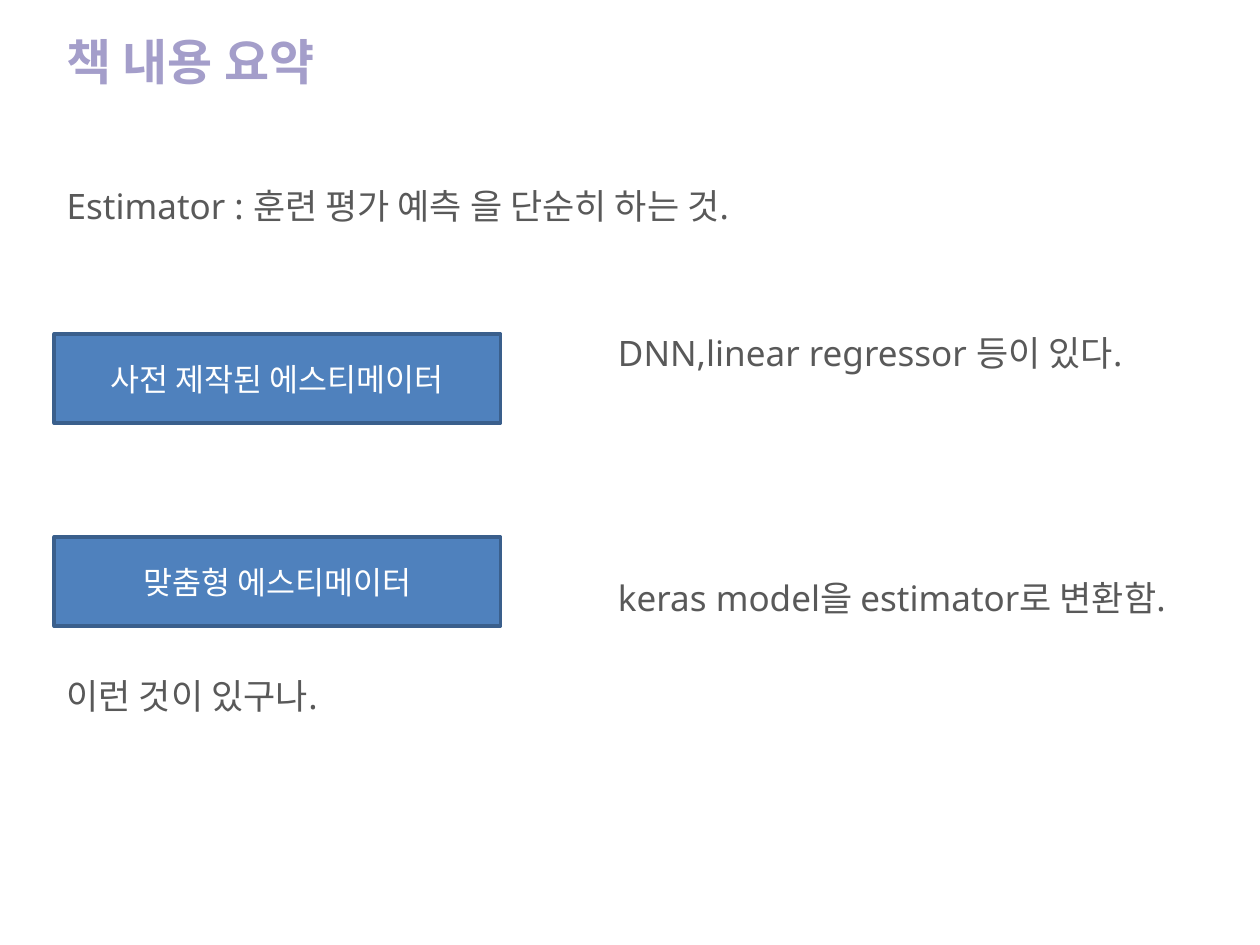
from pptx import Presentation
from pptx.dml.color import RGBColor
from pptx.enum.shapes import MSO_SHAPE
from pptx.enum.text import MSO_ANCHOR, PP_ALIGN
from pptx.util import Pt

LILAC = RGBColor(0xA4, 0x9E, 0xCA)
GREY = RGBColor(0x59, 0x59, 0x59)
BLUE = RGBColor(0x4F, 0x81, 0xBD)
NAVY = RGBColor(0x3A, 0x5F, 0x8C)
WHITE = RGBColor(0xFF, 0xFF, 0xFF)

TITLE = "책 내용 요약"
NOTES = [
    ("Estimator : 훈련 평가 예측 을 단순히 하는 것.", 0, 0),
    ("DNN,linear regressor 등이 있다.", 2, 315),
    ("keras model을 estimator로 변환함.", 4, 315),
    ("이런 것이 있구나.", 1, 0),
]
KINDS = ["사전 제작된 에스티메이터", "맞춤형 에스티메이터"]

HEAD = {"name": "Noto Sans", "size": Pt(28), "bold": True}
BODY = {"name": "Noto Sans", "size": Pt(20)}
LABEL = {"name": "Noto Sans CJK KR", "size": Pt(18)}
LEFT, PITCH = 31, 28
TOP, STEP = 190.8, 116


def style(para, form, color, align=PP_ALIGN.LEFT):
    para.alignment = align
    for key, val in form.items():
        setattr(para.font, key, val)
    para.font.color.rgb = color


def place(shape, *box):
    for key, val in zip(("left", "top", "width", "height"), box):
        setattr(shape, key, Pt(val))


deck = Presentation()
deck.slide_width, deck.slide_height = Pt(720), Pt(540)
slide = deck.slides.add_slide(deck.slide_layouts[5])

title = slide.shapes.title
place(title, LEFT, 3.6, 603.4, 62.6)
title.text_frame.text = TITLE
title.text_frame.vertical_anchor = MSO_ANCHOR.MIDDLE
style(title.text_frame.paragraphs[0], HEAD, LILAC)

body = slide.shapes.add_textbox(Pt(LEFT), Pt(98), Pt(680), Pt(386))
frame = body.text_frame
frame.word_wrap = True
for i, (text, skip, indent) in enumerate(NOTES):
    para = frame.add_paragraph() if i else frame.paragraphs[0]
    para.text = text
    para.line_spacing = Pt(PITCH)
    if skip:
        para.space_before = Pt(skip * PITCH)
    if indent:
        para._p.get_or_add_pPr().set("marL", str(Pt(indent)))
    style(para, BODY, GREY)

for i, text in enumerate(KINDS):
    card = slide.shapes.add_shape(
        MSO_SHAPE.RECTANGLE, Pt(LEFT), Pt(TOP + i * STEP), Pt(255), Pt(51))
    card.shadow.inherit = False
    card.fill.solid()
    card.fill.fore_color.rgb = BLUE
    card.line.color.rgb = NAVY
    card.line.width = Pt(2)
    card.text_frame.text = text
    card.text_frame.word_wrap = True
    card.text_frame.vertical_anchor = MSO_ANCHOR.MIDDLE
    style(card.text_frame.paragraphs[0], LABEL, WHITE, PP_ALIGN.CENTER)

deck.save("out.pptx")
